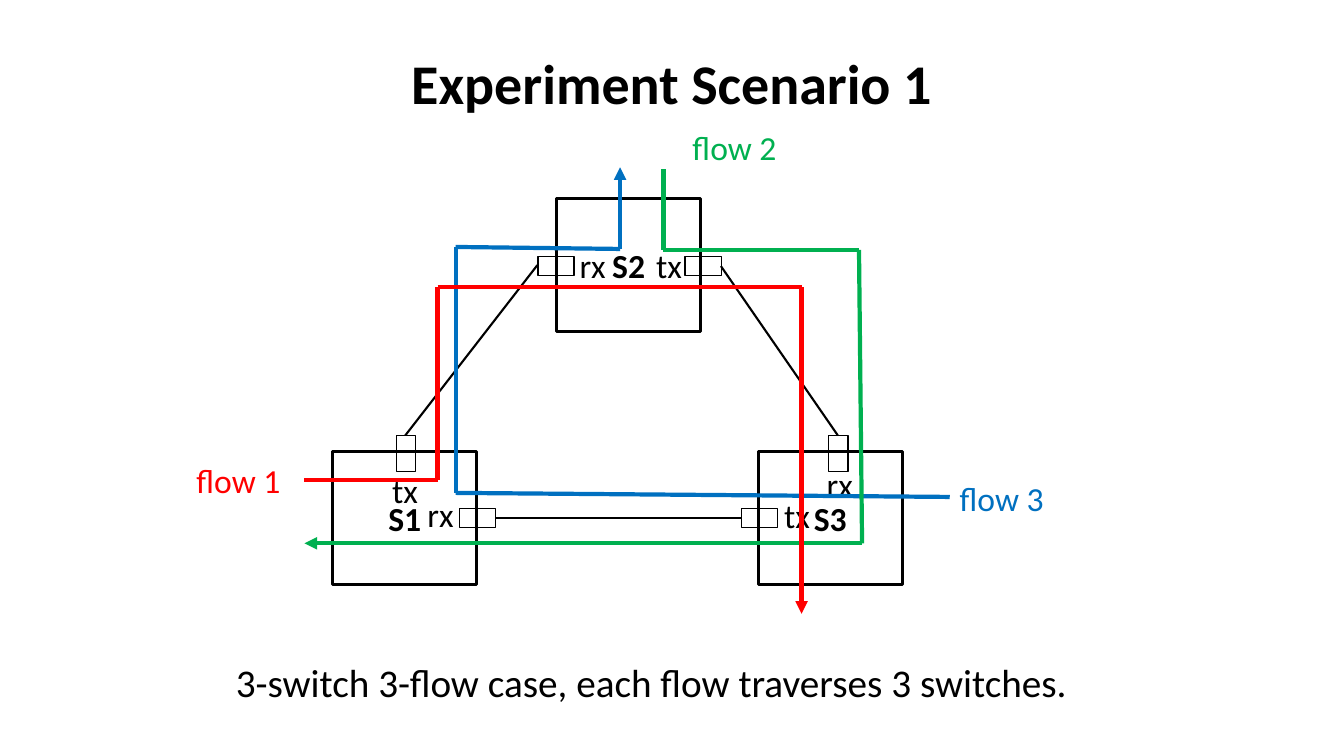
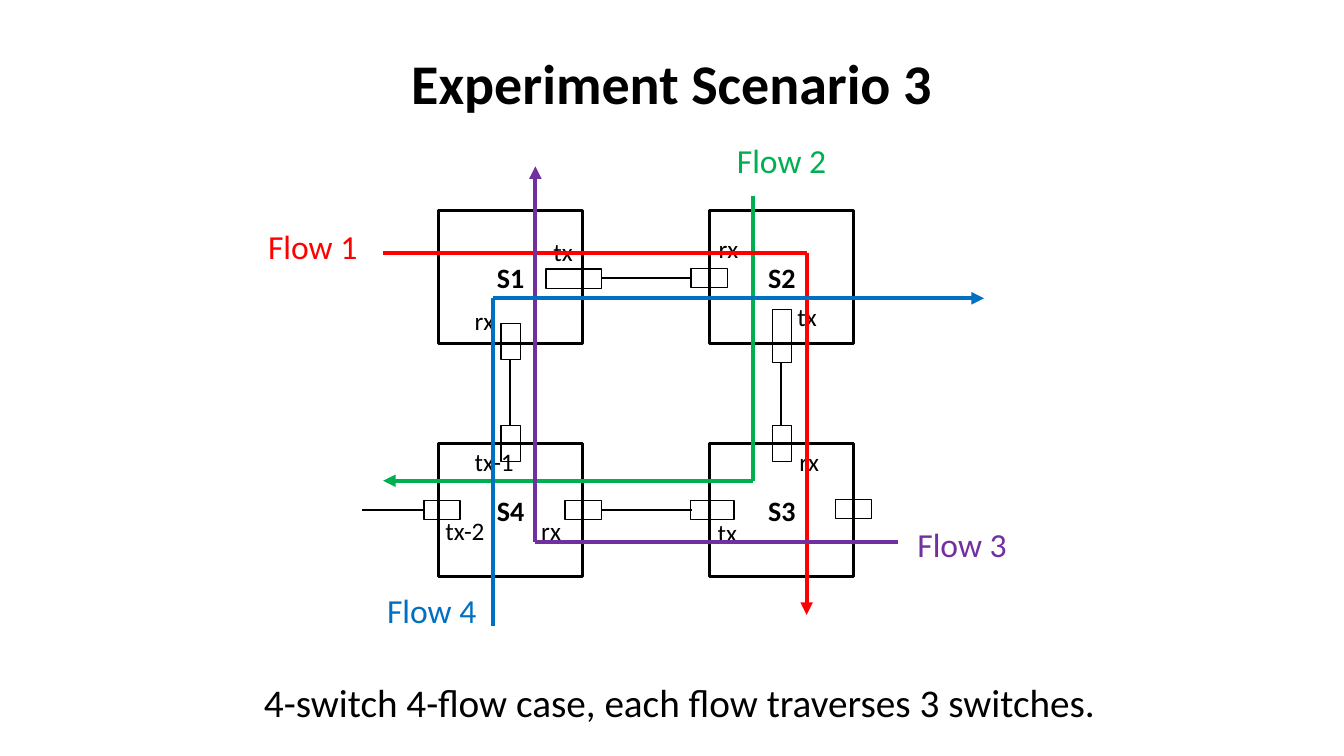
import itertools
import pptx
import pptx.util
import pptx.dml.color
import pptx.enum.shapes
import pptx.enum.text
from lxml import etree
from pptx.oxml.ns import qn

RGB = pptx.dml.color.RGBColor
BLACK, RED = RGB(0, 0, 0), RGB(0xFF, 0, 0)
GREEN, BLUE, PURPLE = RGB(0, 0xB0, 0x50), RGB(0, 0x70, 0xC0), RGB(0x70, 0x30, 0xA0)
FONT = "Calibri"
LEFT, CENTER = pptx.enum.text.PP_ALIGN.LEFT, pptx.enum.text.PP_ALIGN.CENTER
MIDDLE = pptx.enum.text.MSO_ANCHOR.MIDDLE
RECT = pptx.enum.shapes.MSO_SHAPE.RECTANGLE
STRAIGHT = pptx.enum.shapes.MSO_CONNECTOR.STRAIGHT

prs = pptx.Presentation()
prs.slide_width, prs.slide_height = pptx.util.Inches(13.33), pptx.util.Inches(7.5)
# Every length below counts columns and rows of this grid.
COL, ROW = prs.slide_width / 133.3, prs.slide_height / 75
SWITCH_W, SWITCH_H = 14.3, 13.2
LONG, SHORT = 3.6, 1.9
FLOW_SIZE = 24


def write(tf, text, size, color=BLACK, bold=False, align=LEFT, wrap=True):
    """Fill a text frame with one formatted run."""
    tf.word_wrap = wrap
    tf.auto_size = pptx.enum.text.MSO_AUTO_SIZE.NONE
    p = tf.paragraphs[0]
    p.alignment = align
    r = p.add_run()
    r.text = text
    r.font.name, r.font.size, r.font.bold = FONT, pptx.util.Pt(size), bold
    r.font.color.rgb = color


def route(s, points, color, width, arrow=False):
    """Join points with straight connectors, optionally ending in an arrowhead."""
    for (x1, y1), (x2, y2) in itertools.pairwise(points):
        c = s.shapes.add_connector(STRAIGHT, round(x1 * COL), round(y1 * ROW),
                                   round(x2 * COL), round(y2 * ROW))
        c.line.color.rgb, c.line.width = color, pptx.util.Pt(width)
        etree.SubElement(c.element.spPr, qn("a:effectLst"))
    if arrow:
        ln = c.element.spPr.find(qn("a:ln"))
        etree.SubElement(ln, qn("a:tailEnd"), type="triangle")


# switches: name, left, top          ports: centre x, centre y, width, height
# labels: text, left, top, width     flows: name, left, top, colour, points
SLIDES = [
    dict(
        title="Experiment Scenario 1",
        caption=("3-switch 3-flow case, each flow traverses 3 switches.", 22.4, 64.8),
        switch_size=24, label_size=24, label_h=5, flow_w=10.4,
        switches=[("S2", 55.2, 19.7), ("S1", 33, 44.8), ("S3", 75.2, 44.8)],
        ports=[(69.75, 26.4, LONG, SHORT), (55.15, 26.4, LONG, SHORT),
               (75.35, 51.4, LONG, SHORT), (47.35, 51.4, LONG, SHORT),
               (83.15, 45, SHORT, LONG), (40.25, 45, SHORT, LONG)],
        wires=[((53.3, 26.3), (40.2, 43.2)), ((71.5, 26.4), (83.1, 43.2)),
               ((49.2, 51.4), (73.5, 51.4))],
        labels=[("rx", 81, 45.5, 4.6), ("tx", 76.8, 48.6, 4.6),
                ("tx", 64.1, 23.8, 4.6), ("rx", 56.5, 23.8, 4.6),
                ("tx", 37.9, 46.1, 4.6), ("rx", 41.4, 48.5, 4.6)],
        flows=[("flow 3", 94.2, 46.9, BLUE, [(94.2, 49.3), (45.2, 48.9), (45.2, 24.5),
                                             (61.5, 24.7), (61.5, 16.6)]),
               ("flow 2", 67.7, 12.1, GREEN, [(65.8, 16.8), (65.8, 24.8), (85.2, 24.8),
                                              (85.5, 53.9), (30.2, 53.9)]),
               ("flow 1", 18.5, 45.1, RED, [(30.2, 47.6), (43.4, 47.6), (43.4, 28.5),
                                            (79.5, 28.5), (79.5, 60.9)])]),
    dict(
        title="Experiment Scenario 3",
        caption=("4-switch 4-flow case, each flow traverses 3 switches.", 25.2, 66.8),
        switch_size=20, label_size=18, label_h=4, flow_w=10.9,
        switches=[(name, x, y) for name, (y, x) in zip(
            ("S1", "S2", "S4", "S3"), itertools.product((20.9, 44), (43.5, 70.4)))],
        ports=[(70.35, 27.6, LONG, SHORT), (56.9, 27.65, 5.5, SHORT),
               (70.65, 50.6, 4.3, SHORT), (57.85, 50.6, LONG, SHORT),
               (43.85, 50.6, LONG, SHORT), (84.65, 50.5, LONG, SHORT),
               (77.55, 33.35, SHORT, 5.3), (50.65, 33.9, SHORT, LONG),
               (50.65, 44, SHORT, LONG), (77.55, 44, SHORT, LONG)],
        wires=[((59.6, 50.6), (68.6, 50.6)), ((59.6, 27.6), (68.6, 27.6)),
               ((77.5, 42.2), (77.5, 36)), ((50.6, 42.2), (50.6, 35.7)),
               ((35.9, 50.6), (42, 50.6))],
        labels=[("rx", 46.1, 29.8, 4), ("tx", 53.9, 23, 3.9), ("rx", 70.3, 22.7, 4),
                ("rx", 78.3, 43.8, 4), ("rx", 52.7, 50.6, 4), ("tx", 78.1, 29.4, 3.9),
                ("tx-1", 46.1, 43.8, 6), ("tx", 70.2, 50.8, 3.9), ("tx-2", 43.2, 50.6, 6)],
        flows=[("Flow 2", 72.1, 13.4, GREEN, [(74.7, 19.4), (74.7, 47.7), (38, 47.7)]),
               ("Flow 1", 25.6, 21.9, RED, [(38, 25.1), (80, 25.1), (80, 61)]),
               ("Flow 3", 90, 51.5, PURPLE, [(89.1, 53.8), (53.1, 53.8), (53.1, 16.5)]),
               ("Flow 4", 37.4, 58, BLUE, [(48.9, 62.1), (48.9, 29.6), (97.6, 29.6)])]),
]

for scene in SLIDES:
    s = prs.slides.add_slide(prs.slide_layouts[5])
    title = s.shapes.title
    title.left, title.top = round(3.5 * COL), round(4.3 * ROW)
    title.width, title.height = round(126.2 * COL), round(7.7 * ROW)
    write(title.text_frame, scene["title"], 40, bold=True, align=CENTER)

    outlines = [(x, y, SWITCH_W, SWITCH_H, 2.25, name) for name, x, y in scene["switches"]]
    outlines += [(x - w / 2, y - h / 2, w, h, 1, None) for x, y, w, h in scene["ports"]]
    for x, y, w, h, weight, name in outlines:
        sp = s.shapes.add_shape(RECT, round(x * COL), round(y * ROW),
                                round(w * COL), round(h * ROW))
        sp.shadow.inherit = False
        sp.fill.background()
        sp.line.color.rgb, sp.line.width = BLACK, pptx.util.Pt(weight)
        if name:
            sp.text_frame.vertical_anchor = MIDDLE
            write(sp.text_frame, name, scene["switch_size"], bold=True, align=CENTER)

    for wire in scene["wires"]:
        route(s, wire, BLACK, 1.5)

    texts = [(*scene["caption"], 86.6, 5.7, 28, BLACK, True)]
    texts += [(*label, scene["label_h"], scene["label_size"], BLACK, False)
              for label in scene["labels"]]
    texts += [(name, x, y, scene["flow_w"], 5, FLOW_SIZE, color, False)
              for name, x, y, color, points in scene["flows"]]
    for text, x, y, w, h, size, color, wrap in texts:
        tb = s.shapes.add_textbox(round(x * COL), round(y * ROW),
                                  round(w * COL), round(h * ROW))
        write(tb.text_frame, text, size, color=color, wrap=wrap)

    for name, x, y, color, points in scene["flows"]:
        route(s, points, color, 3, arrow=True)

prs.save("out.pptx")
